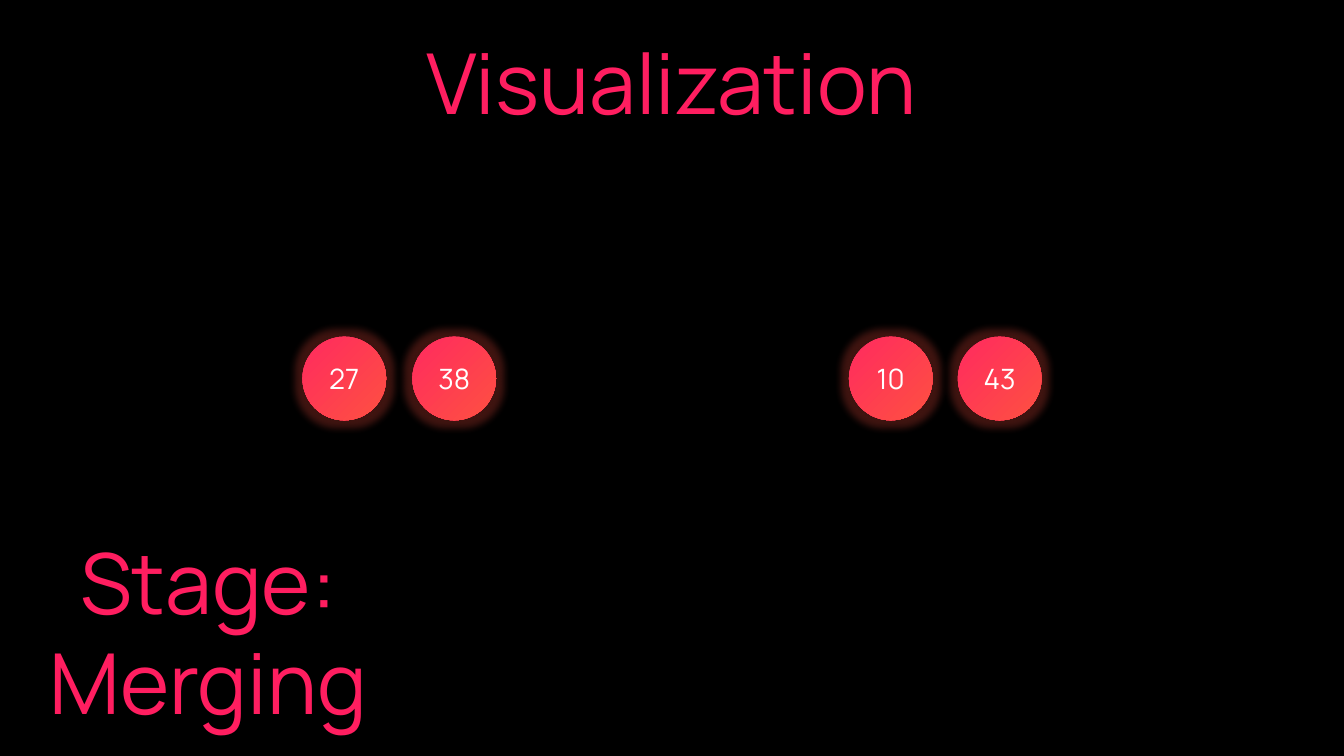
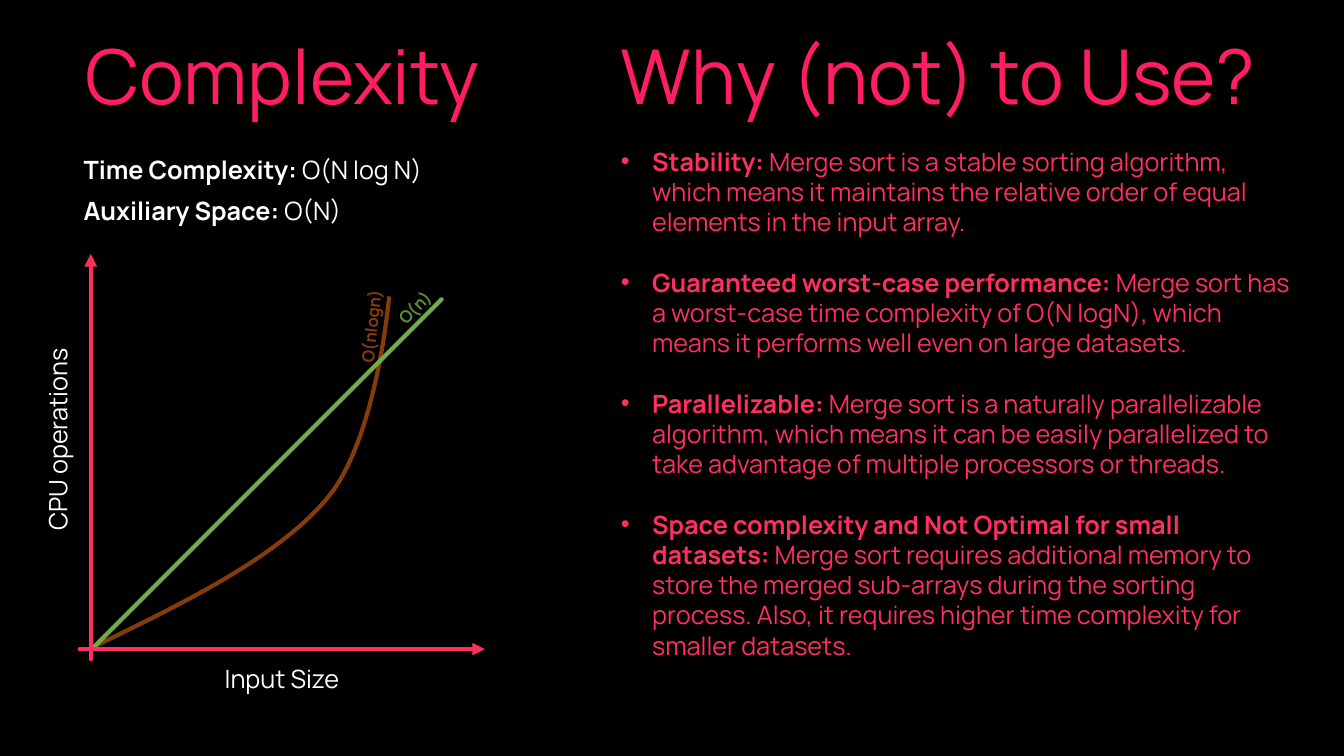
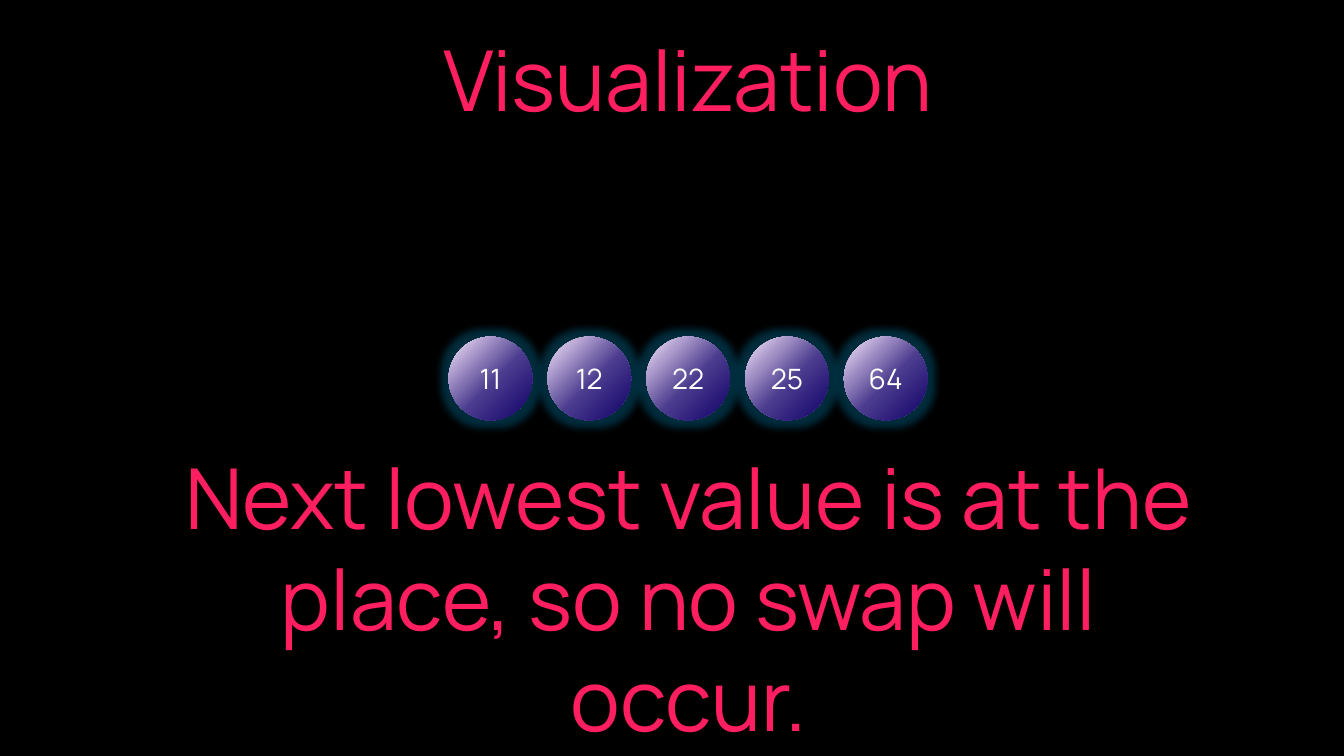
import lxml.etree
import pptx
import pptx.dml.color
import pptx.enum.shapes
import pptx.enum.text
import pptx.oxml.ns
import pptx.util

Inches = pptx.util.Inches
Pt = pptx.util.Pt
qn = pptx.oxml.ns.qn
ALIGN = pptx.enum.text.PP_ALIGN

FONT = "Manrope"
INK = {
    "back": "000000",
    "title": "FF1E60",
    "body": "FF305E",
    "white": "FFFFFF",
    "green": "70AD47",
    "leaf": "5C8D3E",
    "brown": "843C0B",
}
CORAL = [(0, "FF2A5F"), (100, "FE5141")]
VIOLET = [(0, "FCEAFF"), (54, "4C3C8F"), (100, "0F0068")]


def tint(name):
    return pptx.dml.color.RGBColor.from_string(INK[name])


def write(frame, paras, size, ink, align=None):
    """Each paragraph is a list of (text, bold) runs; None breaks the line."""
    for i, runs in enumerate(paras):
        para = frame.paragraphs[0] if i == 0 else frame.add_paragraph()
        para.alignment = align
        for part in runs:
            if part is None:
                para.add_line_break()
                continue
            run = para.add_run()
            run.text, run.font.bold = part
            run.font.name = FONT
            run.font.size = Pt(size)
            run.font.color.rgb = tint(ink)


# Deck and shared background
deck = pptx.Presentation()
deck.slide_width, deck.slide_height = Inches(13.33), Inches(7.5)
fill = deck.slide_master.background.fill
fill.solid()
fill.fore_color.rgb = tint("back")
merge, facts, swap = [deck.slides.add_slide(deck.slide_layouts[6]) for _ in range(3)]

# Titles and labels: slide, box, turn, wrap, size, ink, align, runs
MID, LEFT = ALIGN.CENTER, ALIGN.LEFT
labels = [
    (merge, (3.81, 0.25, 5.71, 1.11), 0, False, 60, "title", MID, [("Visualization", False)]),
    (merge, (0.19, 5.21, 3.75, 2.12), 0, False, 60, "title", MID,
     [("Stage:", False), None, ("Merging", False)]),
    (facts, (5.76, 0.24, 7.09, 1.01), 0, False, 54, "title", MID, [("Why (not) to Use?", False)]),
    (facts, (0.49, 0.24, 4.62, 1.01), 0, False, 54, "title", MID, [("Complexity", False)]),
    (facts, (0.73, 1.48, 3.81, 0.4), 0, True, 18, "white", LEFT,
     [("Time Complexity: ", True), ("O(N log N)", False)]),
    (facts, (0.73, 1.89, 3.81, 0.4), 0, True, 18, "white", LEFT,
     [("Auxiliary Space: ", True), ("O(N)", False)]),
    (facts, (3.19, 3.06, 0.99, 0.3), 276.1, False, 12, "brown", LEFT, [("O(nlogn)", True)]),
    (facts, (3.82, 2.89, 0.61, 0.3), 314.4, False, 12, "leaf", LEFT, [("O(n)", True)]),
    (facts, (2.09, 6.53, 1.41, 0.4), 0, True, 18, "white", MID, [("Input Size", False)]),
    (facts, (-0.95, 4.16, 3.04, 0.4), 270, True, 18, "white", MID, [("CPU operations", False)]),
    (swap, (3.97, 0.22, 5.71, 1.11), 0, False, 60, "title", MID, [("Visualization", False)]),
    (swap, (1.68, 4.37, 10.3, 3.13), 0, True, 60, "title", MID,
     [("Next lowest value is at the place, so no swap will occur.", False)]),
]
for slide, spot, turn, wrap, size, ink, align, runs in labels:
    box = slide.shapes.add_textbox(*map(Inches, spot))
    box.rotation = turn
    box.text_frame.word_wrap = wrap
    write(box.text_frame, [runs], size, ink, align)

# Rows of glowing balls: slide, left, step, values, stops, glow
rows = [
    (merge, 3, 1.09, (27, 38), CORAL, "FE5141"),
    (merge, 8.42, 1.08, (10, 43), CORAL, "FE5141"),
    (swap, 4.45, 0.98, (11, 12, 22, 25, 64), VIOLET, "00B0F0"),
]
for slide, left, step, values, stops, glow in rows:
    for i, value in enumerate(values):
        ball = slide.shapes.add_shape(
            pptx.enum.shapes.MSO_SHAPE.OVAL,
            Inches(left + i * step), Inches(3.34), Inches(0.83), Inches(0.83))
        ball.line.fill.background()
        ball.fill.gradient()
        ball.fill.gradient_angle = 315
        props = ball.element.spPr
        chain = props.find(".//" + qn("a:gsLst"))
        for old in list(chain):
            chain.remove(old)
        for place, shade in stops:
            stop = lxml.etree.SubElement(chain, qn("a:gs"), pos=str(place * 1000))
            lxml.etree.SubElement(stop, qn("a:srgbClr"), val=shade)
        ball.shadow.inherit = False
        halo = lxml.etree.SubElement(
            props.find(qn("a:effectLst")), qn("a:glow"), rad=str(Pt(11)))
        shade = lxml.etree.SubElement(halo, qn("a:srgbClr"), val=glow)
        lxml.etree.SubElement(shade, qn("a:alpha"), val="25000")
        frame = ball.text_frame
        frame.margin_left = frame.margin_right = 0
        frame.vertical_anchor = pptx.enum.text.MSO_ANCHOR.MIDDLE
        write(frame, [[(str(value), False)]], 20, "white", MID)

# Growth curve, sampled from two cubic arcs
arcs = [
    ((0.9, 6.43), (1.83, 5.98), (2.75, 5.53), (3.24, 4.95)),
    ((3.24, 4.95), (3.74, 4.37), (3.86, 2.94), (3.86, 2.94)),
]
dots = []
for arc in arcs:
    for n in range(25):
        t = n / 24
        mix = ((1 - t) ** 3, 3 * t * (1 - t) ** 2, 3 * t * t * (1 - t), t ** 3)
        dots.append(tuple(Inches(sum(m * p[k] for m, p in zip(mix, arc))) for k in (0, 1)))
pen = facts.shapes.build_freeform(*dots[0], scale=1.0)
pen.add_line_segments(dots[1:], close=False)
curve = pen.convert_to_shape()
curve.fill.background()
curve.line.color.rgb = tint("brown")
curve.line.width = Pt(3)
curve.shadow.inherit = False

# Straight growth line and the two axes: ends, ink, arrow
lines = [
    ((0.9, 6.45, 4.38, 2.97), "green", False),
    ((0.79, 6.44, 4.81, 6.44), "body", True),
    ((0.9, 6.54, 0.9, 2.52), "body", True),
]
for ends, ink, arrow in lines:
    line = facts.shapes.add_connector(
        pptx.enum.shapes.MSO_CONNECTOR.STRAIGHT, *map(Inches, ends))
    line.line.color.rgb = tint(ink)
    line.line.width = Pt(3)
    props = line.element.spPr
    stroke = props.find(qn("a:ln"))
    stroke.set("cap", "rnd")
    if arrow:
        lxml.etree.SubElement(stroke, qn("a:tailEnd"), type="triangle")
    lxml.etree.SubElement(props, qn("a:effectLst"))

# Bulleted reasons
points = [
    ("Stability: ", "Merge sort is a stable sorting algorithm, which means it maintains "
     "the relative order of equal elements in the input array."),
    ("Guaranteed worst-case performance: ", "Merge sort has a worst-case time complexity "
     "of O(N logN), which means it performs well even on large datasets."),
    ("Parallelizable: ", "Merge sort is a naturally parallelizable algorithm, which means "
     "it can be easily parallelized to take advantage of multiple processors or threads."),
    ("Space complexity and Not Optimal for small datasets: ", "Merge sort requires "
     "additional memory to store the merged sub-arrays during the sorting process. Also, "
     "it requires higher time complexity for smaller datasets."),
]
box = facts.shapes.add_textbox(Inches(6.06), Inches(1.4), Inches(6.87), Inches(5.5))
box.text_frame.word_wrap = True
write(box.text_frame, [[(head, True), (rest, False)] for head, rest in points], 18, "body")
for i, para in enumerate(box.text_frame.paragraphs):
    if i:
        para.space_before = Pt(21.6)
    props = para._p.get_or_add_pPr()
    props.set("marL", str(Inches(0.31)))
    props.set("indent", str(-Inches(0.31)))
    lxml.etree.SubElement(props, qn("a:buFont"), typeface="Arial")
    lxml.etree.SubElement(props, qn("a:buChar"), char="•")

deck.save("out.pptx")
